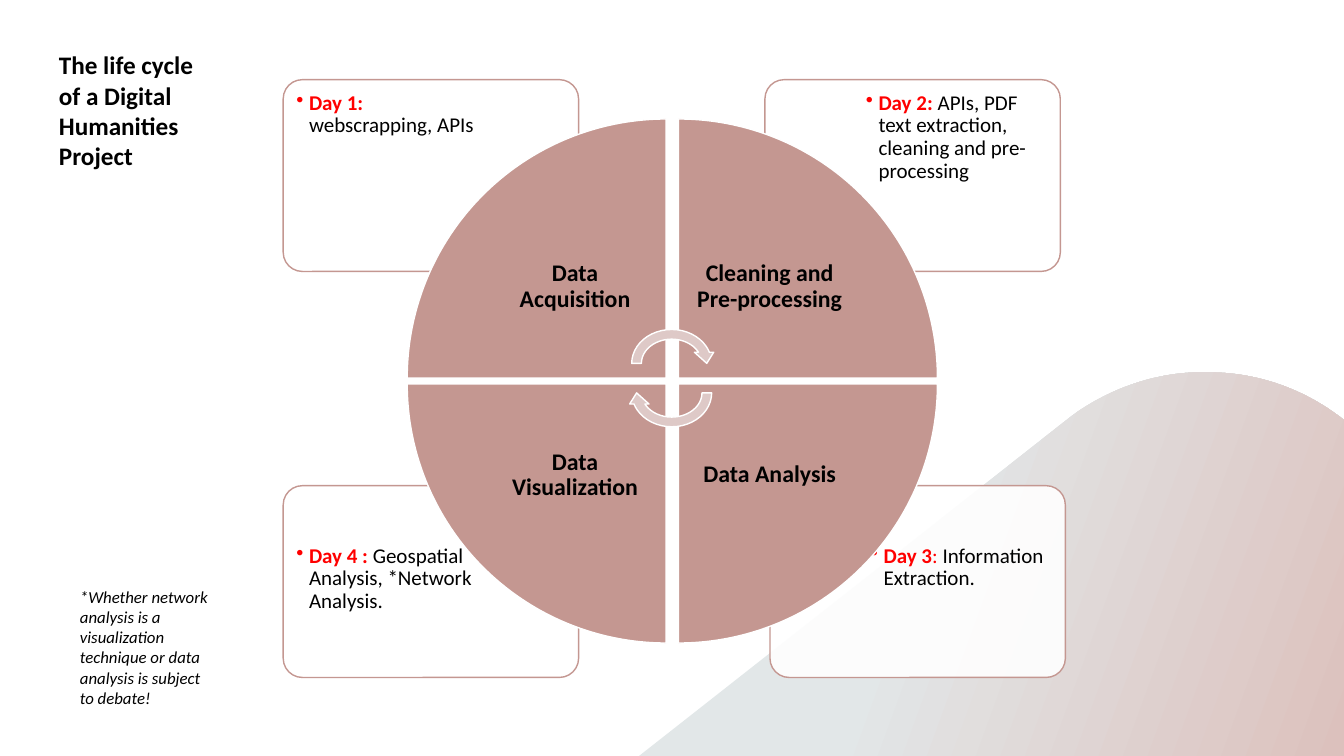
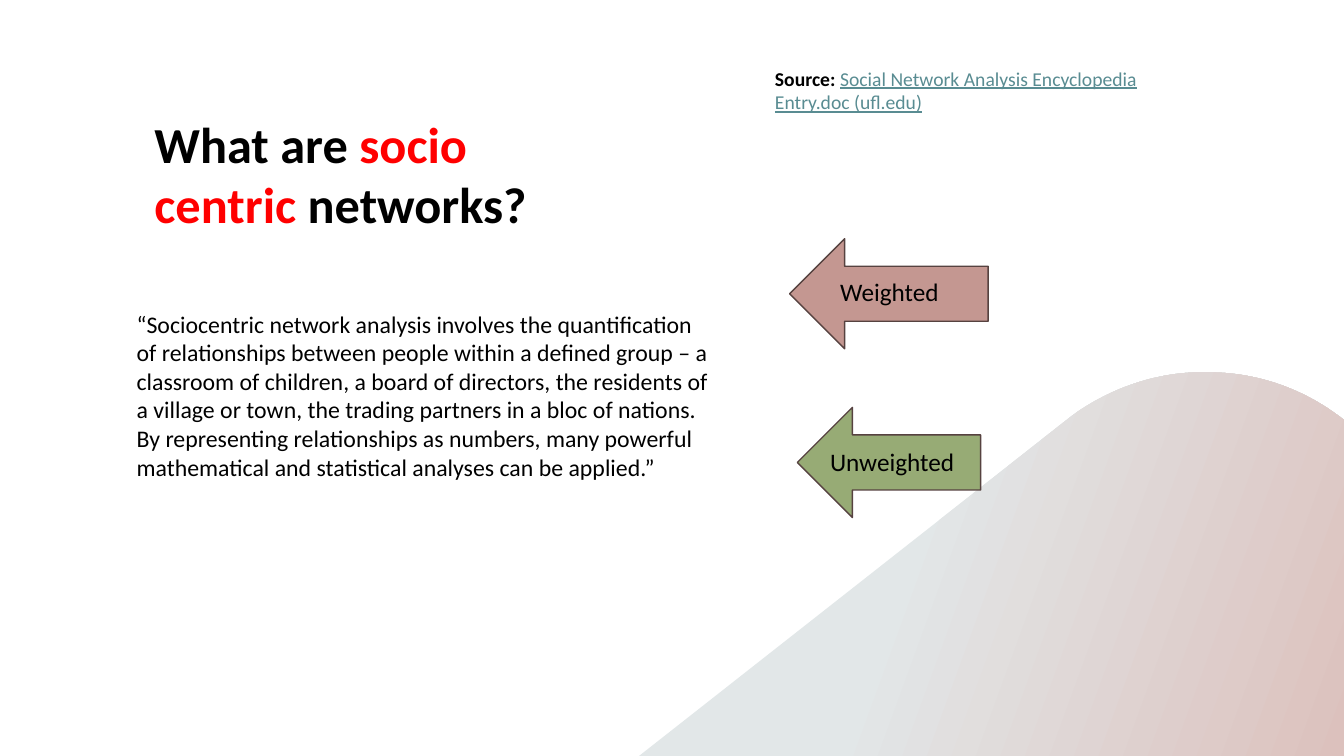
import pptx
import pptx.dml.color
import pptx.enum.dml
import pptx.enum.shapes
import pptx.enum.text
import pptx.oxml
import pptx.oxml.ns
import pptx.util
from lxml import etree

Pt = pptx.util.Pt
RGB = pptx.dml.color.RGBColor
SHAPE = pptx.enum.shapes.MSO_SHAPE
ALIGN = pptx.enum.text.PP_ALIGN
ANCHOR = pptx.enum.text.MSO_ANCHOR
qn = pptx.oxml.ns.qn

FONT = "Calibri"
BLACK = RGB(0x00, 0x00, 0x00)
WHITE = RGB(0xFF, 0xFF, 0xFF)
RED = RGB(0xFF, 0x00, 0x00)
ROSE = RGB(0xC4, 0x97, 0x91)
PALE_ROSE = RGB(0xDE, 0xC9, 0xC7)
GREEN = RGB(0x97, 0xAB, 0x75)
BROWN = RGB(0x56, 0x42, 0x40)
TEAL = RGB(0x59, 0x8C, 0x92)
MIST = RGB(0xE2, 0xE7, 0xE8)
BLUSH = RGB(0xDC, 0xC1, 0xBD)
SLIDE_W, SLIDE_H = 960, 540


def add_shape(slide, kind, box, fill, line, rotation=0):
    """Add a flat preset shape with a one-point outline."""
    sp = slide.shapes.add_shape(kind, *map(Pt, box))
    sp.shadow.inherit = False
    sp.fill.solid()
    sp.fill.fore_color.rgb = fill
    sp.line.color.rgb = line
    sp.line.width = Pt(1)
    sp.rotation = rotation
    return sp


def add_text(slide, box, runs, size, inset=(7.2, 3.6), anchor=ANCHOR.TOP,
             align=ALIGN.LEFT, spacing=None, bullet=False):
    """Add a one-paragraph text box from (text, colour, font settings) runs."""
    tf = slide.shapes.add_textbox(*map(Pt, box)).text_frame
    tf.word_wrap = True
    tf.vertical_anchor = anchor
    tf.margin_left = tf.margin_right = Pt(inset[0])
    tf.margin_top = tf.margin_bottom = Pt(inset[1])
    p = tf.paragraphs[0]
    if bullet:
        pPr = p._p.get_or_add_pPr()
        pPr.set("marL", str(Pt(9)))
        pPr.set("indent", str(-Pt(9)))
        etree.SubElement(pPr, qn("a:buChar")).set("char", "•")
    p.alignment = align
    if spacing:
        p.line_spacing = spacing
    for text, colour, style in runs:
        r = p.add_run()
        r.text = text
        r.font.name = FONT
        r.font.size = Pt(size)
        r.font.color.rgb = colour
        for name, value in style.items():
            setattr(r.font, name, value)


def bezier(p0, p1, p2, p3, steps=24):
    """Return points along a cubic curve, without its start."""
    points = []
    for i in range(1, steps + 1):
        t = i / steps
        u = 1 - t
        points.append(tuple(
            u ** 3 * a + 3 * u * u * t * b + 3 * u * t * t * c + t ** 3 * d
            for a, b, c, d in zip(p0, p1, p2, p3)))
    return points


def add_hill(slide, box):
    """Draw the shaded hill in the lower right corner."""
    x, y, w, h = box
    crest, right = (x + 407, y), (x + w, y + 34)
    foot, shoulder = (x + 312, y + 29), (x + 397.5, y)
    outline = bezier(crest, (x + 441, y), (x + 475, y + 11.5), right)
    outline += [(x + w, y + h), (x, y + h), (x + 308, y + 32), foot]
    outline += bezier(foot, (x + 338, y + 11), (x + 368, y + 1), shoulder)
    outline.append(crest)
    builder = slide.shapes.build_freeform(Pt(crest[0]), Pt(crest[1]))
    builder.add_line_segments([(Pt(a), Pt(b)) for a, b in outline])
    sp = builder.convert_to_shape()
    sp.shadow.inherit = False
    sp.line.fill.background()
    sp.fill.gradient()
    sp.fill.gradient_angle = 340
    for stop, position, colour in zip(sp.fill.gradient_stops, (0.39, 1), (MIST, BLUSH)):
        stop.position = position
        stop.color.rgb = colour


def add_card(slide, box, right, bottom, day, topic):
    """Draw a day card with its bullet at the outer edge."""
    x, y, w, h = box
    sp = add_shape(slide, SHAPE.ROUNDED_RECTANGLE, box, WHITE, ROSE)
    sp.adjustments[0] = 0.1
    colour = sp._element.spPr.find(qn("a:solidFill"))[0]
    etree.SubElement(colour, qn("a:alpha")).set("val", "90000")
    text_box = (x + (66.3 if right else 3.6), y + (36.7 if bottom else 3), 142, 96.5)
    add_text(slide, text_box, [(*day, {"bold": True}), *topic], 15,
             inset=(5.8, 5.8), spacing=0.9, bullet=True)


def add_wedge(slide, box, right, bottom, rotation, label):
    """Draw a quarter of the wheel, labelled next to its centre."""
    x, y, size, _ = box
    label_size = 130.3
    gap = size - label_size
    add_shape(slide, SHAPE.PIE_WEDGE, box, ROSE, WHITE, rotation)
    label_box = (x + (0 if right else gap), y + (0 if bottom else gap),
                 label_size, label_size)
    add_text(slide, label_box, [(label, BLACK, {"bold": True})], 17, inset=(9.4, 9.4),
             anchor=ANCHOR.MIDDLE, align=ALIGN.CENTER, spacing=0.9)


def add_cycle(slide, box):
    """Draw the four-part project cycle with its day cards."""
    x, y, w, h = box
    card_w, card_h = 211, 137
    wedge, wedge_x, wedge_y = 185, 88.6, 28.1
    step_x, step_y = 193.7, 189.3
    plain = {"bold": False}
    steps = [
        (0, 0, 0, "Data Acquisition", 0, ("Day 1: ", RED),
         [("webscrapping, APIs", BLACK, plain)]),
        (1, 0, 90, "Cleaning and Pre-processing", 3.6, ("Day 2:", RED),
         [(" APIs, PDF text extraction, cleaning and pre-processing", BLACK, plain)]),
        (1, 1, 180, "Data Analysis", 0, ("Day 3", RED),
         [(": ", RED, plain), ("Information Extraction.", BLACK, plain)]),
        (0, 1, 270, "Data Visualization", 0, ("Day 4 :", RED),
         [(" Geospatial Analysis, *Network Analysis.", BLACK, plain)]),
    ]
    for col, row, _, _, shift, day, topic in steps:
        card = (x + col * (w - card_w) - shift, y + row * (h - card_h), card_w, card_h)
        add_card(slide, card, col, row, day, topic)
    for col, row, rotation, label, *_ in steps:
        quarter = (x + wedge_x + col * step_x, y + wedge_y + row * step_y, wedge, wedge)
        add_wedge(slide, quarter, col, row, rotation, label)
    for top, rotation in ((175, 0), (196, 180)):
        add_shape(slide, SHAPE.CIRCULAR_ARROW, (x + 245.5, y + top, 64, 55.4),
                  PALE_ROSE, WHITE, rotation)


def add_label_arrow(slide, box, fill, label, offset):
    """Draw a left arrow with a label at an offset from its corner."""
    x, y, w, h = box
    add_shape(slide, SHAPE.LEFT_ARROW, box, fill, BROWN)
    add_text(slide, (x + offset[0], y + offset[1], w, 29), [(label, BLACK, {})], 18)


def new_slide(prs):
    """Add a blank slide with the shared hill."""
    slide = prs.slides.add_slide(prs.slide_layouts[6])
    add_hill(slide, (456.5, 266, SLIDE_W - 456.5, SLIDE_H - 266))
    return slide


def build_cycle_slide(prs):
    """Build the project life cycle slide."""
    slide = new_slide(prs)
    add_cycle(slide, (202.3, 56.9, 558.7, 427))
    add_text(slide, (35, 32, 117.5, 116.5),
             [("The life cycle of a Digital Humanities Project", BLACK, {"bold": True})], 18)
    add_text(slide, (50, 415.5, 106.5, 109),
             [("*Whether network analysis is a visualization technique or data analysis "
               "is subject to debate!", BLACK, {"italic": True})], 12)


def build_network_slide(prs):
    """Build the sociocentric networks slide."""
    slide = new_slide(prs)
    bold = {"bold": True}
    add_text(slide, (103.2, 45.4, 342, 125.3),
             [("What are ", BLACK, bold), ("socio centric", RED, bold),
              (" networks?", BLACK, bold)], 36, anchor=ANCHOR.BOTTOM)
    add_text(slide, (90.5, 217.5, 429, 179),
             [("“Sociocentric network analysis involves the quantification of relationships "
               "between people within a defined group – a classroom of children, a board of "
               "directors, the residents of a village or town, the trading partners in a bloc "
               "of nations. By representing relationships as numbers, many powerful "
               "mathematical and statistical analyses can be applied.”", BLACK, {})], 17)
    add_text(slide, (546.5, 44, 285, 41),
             [("Source: ", BLACK, bold),
              ("Social Network Analysis Encyclopedia Entry.doc (ufl.edu)", TEAL,
               {"underline": True})], 14)
    add_label_arrow(slide, (564, 170.5, 141.8, 78.7), ROSE, "Weighted", (29, 23.2))
    add_label_arrow(slide, (569.5, 291, 131, 78.7), GREEN, "Unweighted", (16.3, 24.4))


def main():
    """Build and save the presentation."""
    prs = pptx.Presentation()
    prs.slide_width, prs.slide_height = Pt(SLIDE_W), Pt(SLIDE_H)
    build_cycle_slide(prs)
    build_network_slide(prs)
    prs.save("out.pptx")


if __name__ == "__main__":
    main()
